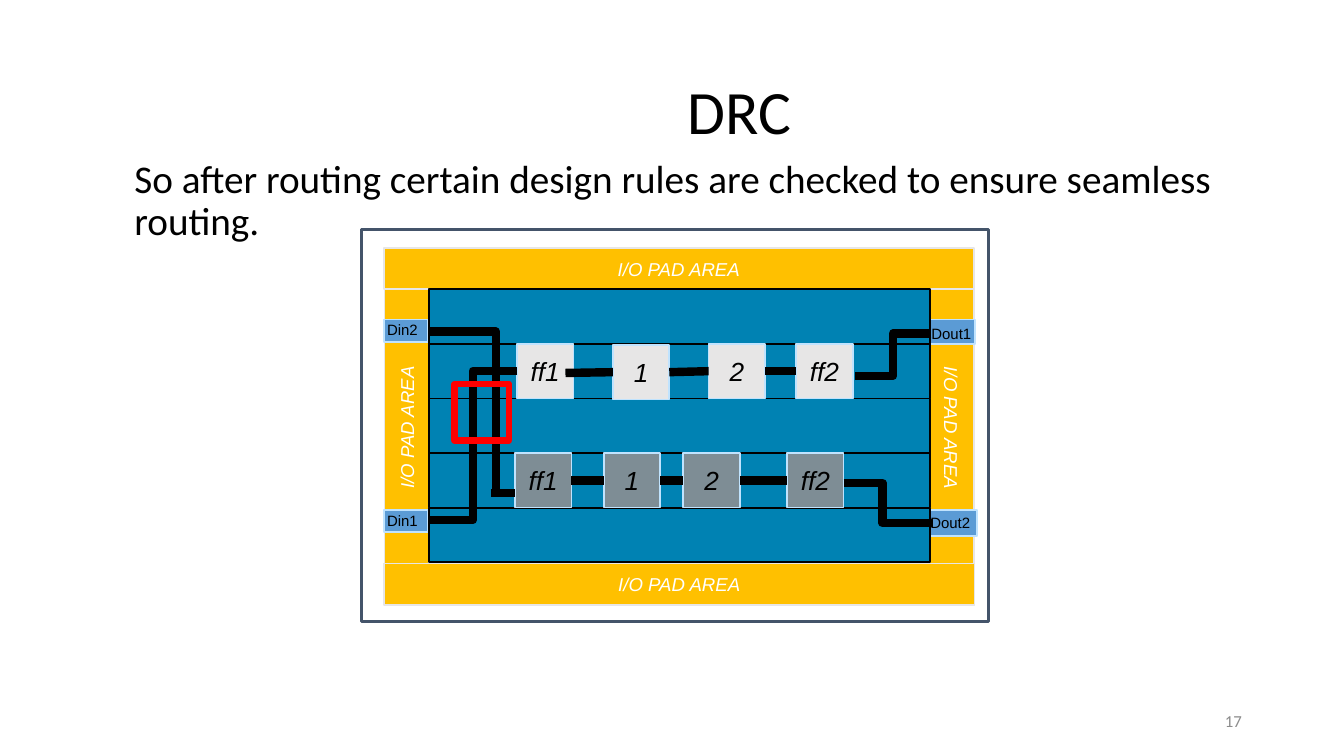
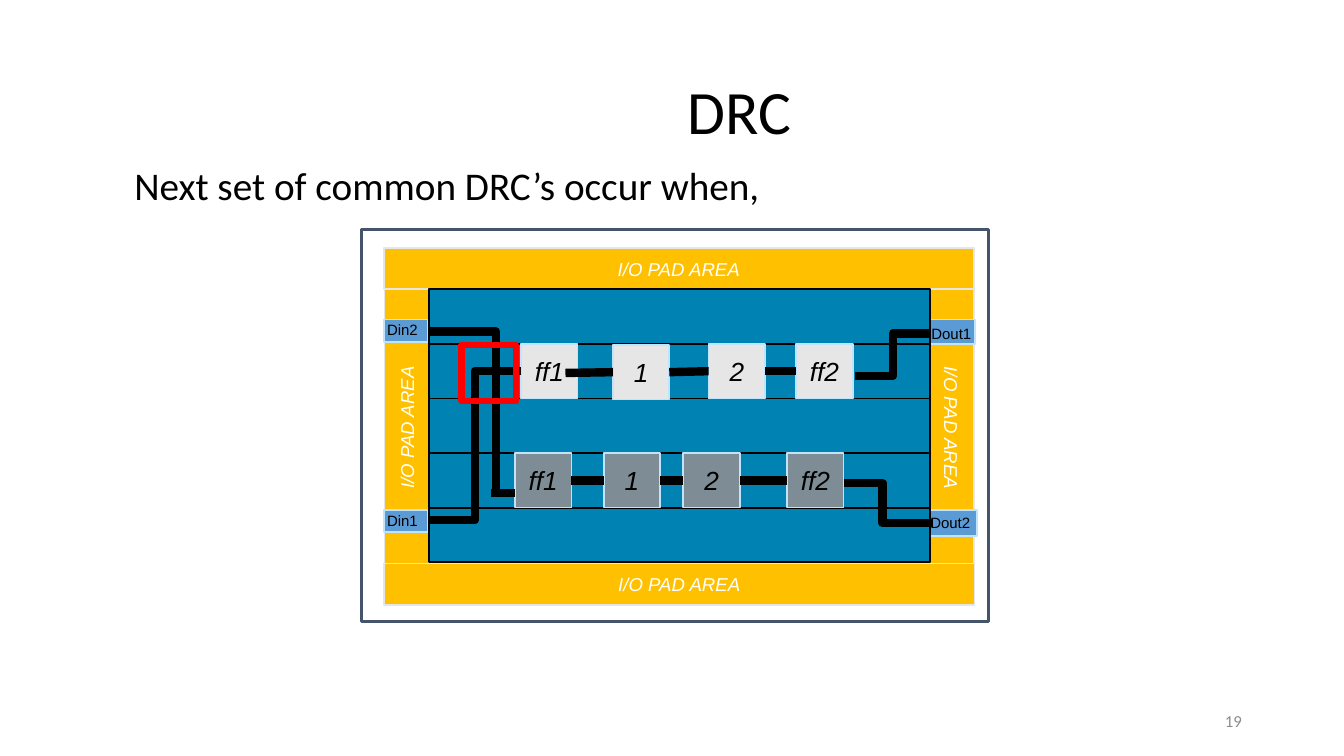
"""Build two DRC slides showing a routed chip and its highlighted rule checks."""
from dataclasses import dataclass
from itertools import pairwise
from typing import Optional

from lxml import etree
from pptx import Presentation
from pptx import util as u
from pptx.dml.color import RGBColor
from pptx.enum import shapes, text
from pptx.oxml import ns

COLUMNS, ROWS = 160, 90
CELL = u.Inches(7.5) // ROWS

BLACK = RGBColor(0x00, 0x00, 0x00)
WHITE = RGBColor(0xFF, 0xFF, 0xFF)
GREY = RGBColor(0x8C, 0x8C, 0x8C)
SLATE = RGBColor(0x44, 0x54, 0x6A)
GOLD = RGBColor(0xFF, 0xC0, 0x00)
SILVER = RGBColor(0xE7, 0xE6, 0xE6)
STEEL = RGBColor(0x7E, 0x8D, 0x95)
PIN_BLUE = RGBColor(0x5B, 0x9B, 0xD5)
PALE_BLUE = RGBColor(0xC0, 0xE3, 0xFE)
CORE_BLUE = RGBColor(0x00, 0x82, 0xB3)
RED = RGBColor(0xFF, 0x00, 0x00)

LEFT, CENTER, RIGHT = text.PP_ALIGN.LEFT, text.PP_ALIGN.CENTER, text.PP_ALIGN.RIGHT
TOP, MIDDLE = text.MSO_ANCHOR.TOP, text.MSO_ANCHOR.MIDDLE
STRAIGHT, ELBOW = shapes.MSO_CONNECTOR.STRAIGHT, shapes.MSO_CONNECTOR.ELBOW

CORE_LEFT, CORE_TOP, CORE_WIDTH, CORE_ROW = 51.12, 34.44, 59.64, 6.5
GATE_WIDTH = 6.72


@dataclass(frozen=True)
class Area:
    left: float
    top: float
    width: float
    height: float

    def emu(self) -> list[int]:
        return [cells(value) for value in (self.left, self.top, self.width, self.height)]


@dataclass(frozen=True)
class Font:
    size: float
    color: RGBColor = BLACK
    name: str = "Arial"
    italic: bool = False


@dataclass(frozen=True)
class Pad:
    area: Area
    rotation: int = 0


@dataclass(frozen=True)
class Pin:
    name: str
    area: Area
    label_left: float
    label_top: float


@dataclass(frozen=True)
class Gate:
    name: str
    left: float
    drop: float = 0


@dataclass(frozen=True)
class Wire:
    begin: tuple[float, float]
    end: tuple[float, float]
    kind: int = STRAIGHT
    bend: Optional[int] = None


@dataclass(frozen=True)
class Check:
    sentence: str
    sentence_top: float
    first_gate_left: float
    highlight: Area
    number: str


TITLE_FONT = Font(44, name="Calibri")
BODY_FONT = Font(28, name="Calibri")
NUMBER_FONT = Font(12, GREY, "Calibri")
PAD_FONT = Font(13.3, WHITE, italic=True)
PIN_FONT = Font(10.7)
GATE_FONT = Font(18.7, italic=True)

PADS = [
    Pad(Area(92.16, 48.24, 42.24, 5.4), 90),
    Pad(Area(27.24, 48.24, 42.36, 5.28), 270),
    Pad(Area(45.72, 29.52, 70.2, 4.92)),
    Pad(Area(45.72, 67.08, 70.32, 4.92)),
]
PINS = [
    Pin("Din2", Area(45.72, 38.04, 5.28, 2.64), 46.08, 38.16),
    Pin("Din1", Area(45.72, 60.72, 5.28, 2.64), 46.08, 60.84),
    Pin("Dout1", Area(110.64, 38.04, 5.4, 2.88), 110.88, 38.64),
    Pin("Dout2", Area(110.64, 60.72, 5.64, 3.12), 110.76, 61.08),
]
UPPER_GATES = [Gate("1", 72.96, 0.12), Gate("2", 84.36), Gate("ff2", 94.8)]
LOWER_GATES = [Gate("ff1", 61.32), Gate("1", 71.88), Gate("2", 81.36), Gate("ff2", 93.72)]
WIRES = [
    Wire((110.88, 39.72), (101.76, 44.76), ELBOW),
    Wire((100.44, 57.48), (109.68, 62.28), ELBOW),
    Wire((107.4, 62.28), (111.12, 62.28)),
    Wire((51.12, 39.48), (59.04, 58.68), ELBOW, 100000),
    Wire((58.44, 58.68), (61.32, 58.68)),
]
CHECKS = [
    Check("So after routing certain design rules are checked to ensure seamless routing.",
          18.96, 61.56, Area(54.12, 45.72, 6.48, 6.72), "17"),
    Check("Next set of common DRC’s occur when,",
          19.8, 62.04, Area(54.96, 41.04, 6.48, 6.72), "19"),
]


def cells(count: float) -> int:
    return round(count * CELL)


def write(shape, wording: str, font: Font, align=LEFT, anchor=TOP,
          inset: Optional[float] = None, spacing: Optional[float] = None,
          wrap: bool = True) -> None:
    frame = shape.text_frame
    frame.text = wording
    frame.word_wrap = wrap
    frame.auto_size = text.MSO_AUTO_SIZE.NONE
    frame.vertical_anchor = anchor
    if inset is not None:
        frame.margin_left = frame.margin_right = cells(inset)
        frame.margin_top = frame.margin_bottom = cells(inset)
    para = frame.paragraphs[0]
    para.alignment = align
    para.line_spacing = spacing
    for span in para.runs:
        span.font.name = font.name
        span.font.size = u.Pt(font.size)
        span.font.italic = font.italic
        span.font.color.rgb = font.color


def draw_box(page, area: Area, fill: Optional[RGBColor], line: RGBColor,
             weight: float = 1.25):
    box = page.shapes.add_shape(shapes.MSO_SHAPE.RECTANGLE, *area.emu())
    box.shadow.inherit = False
    if fill is None:
        box.fill.background()
    else:
        box.fill.solid()
        box.fill.fore_color.rgb = fill
    box.line.color.rgb = line
    box.line.width = u.Pt(weight)
    return box


def draw_gate(page, gate: Gate, row: int, fill: RGBColor):
    top = CORE_TOP + row * CORE_ROW + gate.drop
    box = draw_box(page, Area(gate.left, top, GATE_WIDTH, CORE_ROW), fill, PALE_BLUE)
    write(box, gate.name, GATE_FONT, CENTER, MIDDLE)
    return box


def draw_wire(page, wire: Wire):
    ends = [cells(value) for value in (*wire.begin, *wire.end)]
    line = page.shapes.add_connector(wire.kind, *ends)
    line.line.color.rgb = BLACK
    line.line.width = u.Pt(6)
    properties = line._element.spPr
    etree.SubElement(properties, ns.qn("a:effectLst"))
    if wire.bend is not None:
        guides = properties.find(".//" + ns.qn("a:avLst"))
        etree.SubElement(guides, ns.qn("a:gd"), name="adj1", fmla=f"val {wire.bend}")
    return line


def join_gates(page, boxes: list) -> None:
    for source, target in pairwise(boxes):
        line = draw_wire(page, Wire((0, 0), (1, 1)))
        line.begin_connect(source, 3)
        line.end_connect(target, 1)


def draw_floorplan(page) -> None:
    draw_box(page, Area(43.08, 27.36, 74.64, 46.68), WHITE, SLATE, 2.25)
    for pad in PADS:
        box = draw_box(page, pad.area, GOLD, SILVER)
        box.rotation = pad.rotation
        write(box, "I/O PAD AREA", PAD_FONT, CENTER, MIDDLE)
    for pin in PINS:
        draw_box(page, pin.area, PIN_BLUE, PALE_BLUE)
    for pin in PINS:
        label = page.shapes.add_textbox(*Area(pin.label_left, pin.label_top, 5.28, 2.16).emu())
        write(label, pin.name, PIN_FONT, inset=0, wrap=False)
    for row in range(5):
        top = CORE_TOP + row * CORE_ROW
        draw_box(page, Area(CORE_LEFT, top, CORE_WIDTH, CORE_ROW), CORE_BLUE, BLACK)


def draw_circuit(page, check: Check) -> None:
    draw_gate(page, Gate("ff1", check.first_gate_left), 1, SILVER)
    upper = [draw_gate(page, gate, 1, SILVER) for gate in UPPER_GATES]
    lower = [draw_gate(page, gate, 3, STEEL) for gate in LOWER_GATES]
    entry = draw_wire(page, Wire((67.32, 44.4), (72.96, 44.4)))
    entry.end_connect(upper[0], 1)
    join_gates(page, upper)
    join_gates(page, lower)
    for wire in [Wire((check.first_gate_left, 44.16), (51, 61.92), ELBOW), *WIRES]:
        draw_wire(page, wire)
    draw_box(page, check.highlight, None, RED, 4.5)


def draw_page(deck, check: Check) -> None:
    page = deck.slides.add_slide(deck.slide_layouts[5])
    title = page.shapes.title
    title.left, title.top, title.width, title.height = Area(16, 6.6, 144, 14.04).emu()
    write(title, "DRC", TITLE_FONT, CENTER, MIDDLE, inset=0, spacing=0.9)
    body = page.shapes.add_textbox(*Area(16, check.sentence_top, 144, 56.76).emu())
    write(body, check.sentence, BODY_FONT, inset=0, spacing=0.9)
    draw_floorplan(page)
    draw_circuit(page, check)
    number = page.shapes.add_textbox(*Area(113.04, 83.4, 36, 4.8).emu())
    write(number, check.number, NUMBER_FONT, RIGHT, MIDDLE)


def main() -> None:
    deck = Presentation()
    deck.slide_width, deck.slide_height = cells(COLUMNS), cells(ROWS)
    for check in CHECKS:
        draw_page(deck, check)
    deck.save("out.pptx")


if __name__ == "__main__":
    main()
